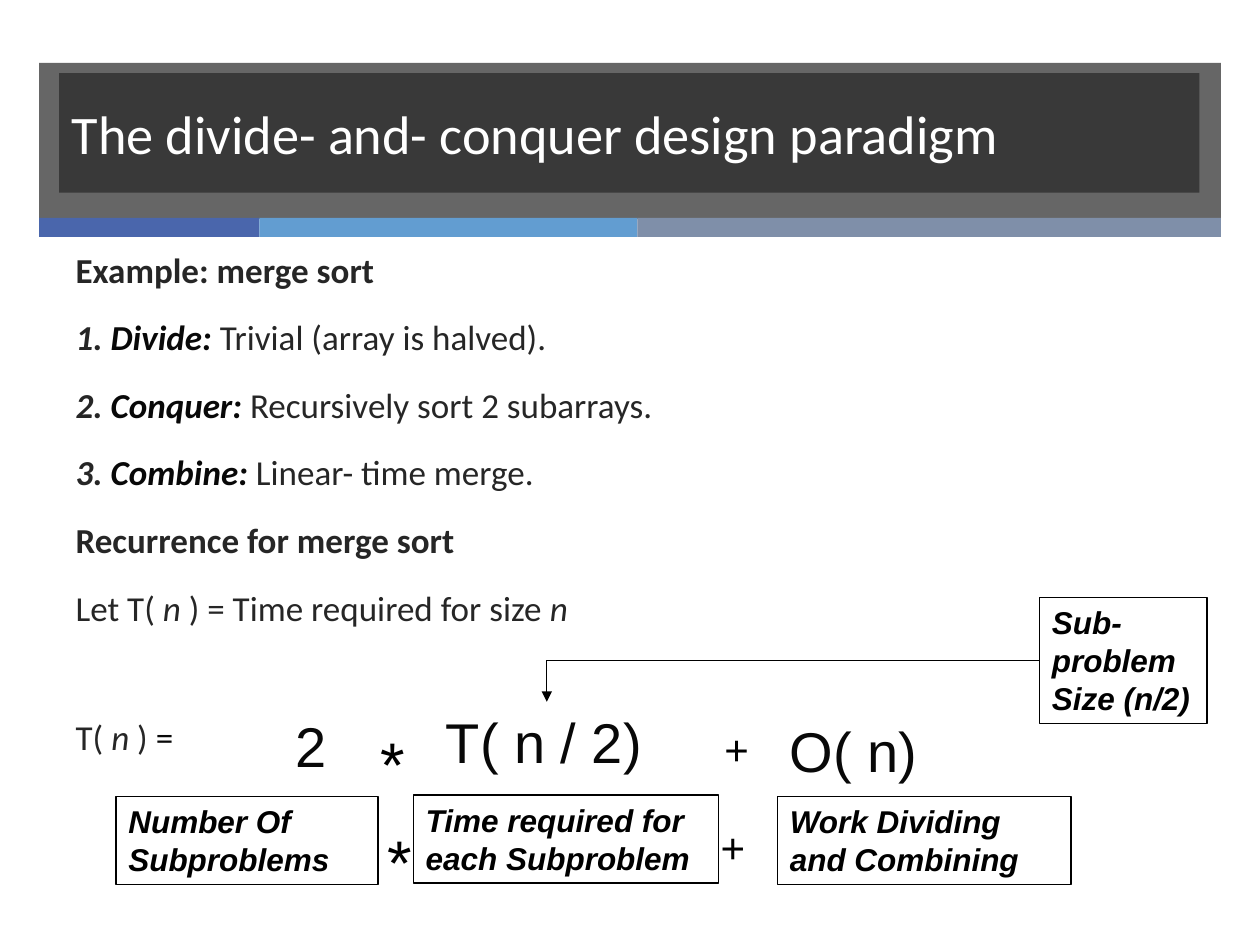
from lxml import etree
from pptx import Presentation
from pptx.dml.color import RGBColor
from pptx.enum.shapes import MSO_CONNECTOR, MSO_SHAPE
from pptx.enum.text import MSO_ANCHOR, MSO_AUTO_SIZE, PP_ALIGN
from pptx.oxml.ns import qn
from pptx.util import Inches, Pt

ELBOW, RECTANGLE = MSO_CONNECTOR.ELBOW, MSO_SHAPE.RECTANGLE
MIDDLE, TOP = MSO_ANCHOR.MIDDLE, MSO_ANCHOR.TOP
LEFT, NO_FIT = PP_ALIGN.LEFT, MSO_AUTO_SIZE.NONE

WHITE = RGBColor(0xFF, 0xFF, 0xFF)
BLACK = RGBColor(0x00, 0x00, 0x00)
DARK = RGBColor(0x26, 0x26, 0x26)
INK = RGBColor(0x08, 0x08, 0x08)
BLUE = RGBColor(0x4A, 0x66, 0xAC)
SKY = RGBColor(0x62, 0x9D, 0xD1)
SLATE = RGBColor(0x7F, 0x8F, 0xA9)

TITLE = "The divide- and- conquer design paradigm"
TITLE_FONT = {"name": "Calibri", "size": Pt(31), "bold": False}

PLAIN = {"name": "Calibri", "size": Pt(20), "bold": False, "italic": False}
HEADING = {"bold": True}
VARIABLE = {"italic": True}
NUMBER = {"bold": True, "italic": True}
STEP = {**NUMBER, "color": INK}

# Each line: space before in points, then its spans
BODY = [
    (0, [("Example: merge sort", HEADING)]),
    (14.6, [("1. ", NUMBER), ("Divide: ", STEP), ("Trivial (array is halved).", {})]),
    (14.6, [("2. ", NUMBER), ("Conquer: ", STEP), ("Recursively sort 2 subarrays.", {})]),
    (14.6, [("3. ", NUMBER), ("Combine: ", STEP), ("Linear- time merge.", {})]),
    (14.6, [("Recurrence for merge sort", HEADING)]),
    (14.6, [("Let T( ", {}), ("n", VARIABLE), (" ) = Time required for size ", {}),
            ("n", VARIABLE)]),
    (50, [("T( ", {}), ("n", VARIABLE), (" ) ", {}), ("=", {"color": INK})]),
]

BAND_LEFT, BAND_TOP, BAND_WIDTH, BAND_HEIGHT = 0.31, 0.5, 9.38, 1.24
STRIPE_TOP, STRIPE_HEIGHT = 1.73, 0.15
STRIPES = [(1.75, BLUE), (3, SKY), (4.63, SLATE)]

# Text, left, top, width, height, size, colour
FORMULA = [
    ("2", 2.25, 5.6, 0.58, 0.64, 32, INK),
    ("*", 2.92, 5.7, 0.58, 0.7, 36, BLACK),
    ("T( n / 2)", 3.44, 5.57, 1.81, 0.64, 32, INK),
    ("+", 5.65, 5.69, 0.58, 0.5, 24, BLACK),
    ("O( n)", 6.17, 5.64, 1.25, 0.64, 32, INK),
    ("*", 2.98, 6.48, 0.58, 0.7, 36, BLACK),
    ("+", 5.62, 6.47, 0.58, 0.5, 24, BLACK),
]

# Lines of text, left, top, width, height
LABELS = [
    (["Number Of Subproblems"], 0.92, 6.32, 2.08, 0.7),
    (["Time required for each Subproblem"], 3.28, 6.31, 2.42, 0.7),
    (["Work Dividing and Combining"], 6.17, 6.32, 2.33, 0.7),
    (["Sub-problem", "Size (n/2)"], 8.25, 4.74, 1.33, 1),
]
ARROW_START, ARROW_END = (8.25, 5.24), (4.34, 5.57)


def place(box, left, top, width, height):
    box.left, box.top = Inches(left), Inches(top)
    box.width, box.height = Inches(width), Inches(height)


def set_frame(box, anchor=TOP):
    frame = box.text_frame
    values = {"word_wrap": True, "auto_size": NO_FIT, "vertical_anchor": anchor,
              "margin_left": Inches(0.1), "margin_right": Inches(0.1),
              "margin_top": Inches(0.05), "margin_bottom": Inches(0.05)}
    for key, value in values.items():
        setattr(frame, key, value)
    return frame


def add_span(para, text, color, **values):
    span = para.add_run()
    span.text = text
    for key, value in values.items():
        setattr(span.font, key, value)
    span.font.color.rgb = color


def fill_box(box, color, opacity=100):
    box.fill.solid()
    box.fill.fore_color.rgb = color
    if opacity < 100:
        tint = box.fill._xPr.find(qn("a:solidFill"))[0]
        etree.SubElement(tint, qn("a:alpha"), val=str(opacity * 1000))


def add_box(page, *bounds):
    box = page.shapes.add_shape(RECTANGLE, *map(Inches, bounds))
    box.shadow.inherit = False
    return box


def add_banner(page):
    band = add_box(page, BAND_LEFT, BAND_TOP, BAND_WIDTH, BAND_HEIGHT)
    fill_box(band, DARK, 70)
    band.line.fill.background()
    left = BAND_LEFT
    for width, color in STRIPES:
        stripe = add_box(page, left, STRIPE_TOP, width, STRIPE_HEIGHT)
        fill_box(stripe, color)
        stripe.line.fill.background()
        left += width


def write_title(page):
    title = page.shapes.title
    place(title, 0.47, 0.58, 9.05, 0.95)
    fill_box(title, DARK, 70)
    para = set_frame(title, MIDDLE).paragraphs[0]
    para.alignment = LEFT
    add_span(para, TITLE, WHITE, **TITLE_FONT)
    # In front of the band
    page.shapes.element.append(title.element)


def write_body(page):
    body = page.placeholders[1]
    place(body, 0.5, 1.92, 9.17, 5.17)
    frame = set_frame(body)
    for index, (space, spans) in enumerate(BODY):
        para = frame.add_paragraph() if index else frame.paragraphs[0]
        para.space_before = Pt(space)
        properties = para._p.get_or_add_pPr()
        properties.set("marL", "0")
        properties.set("indent", "0")
        etree.SubElement(properties, qn("a:buNone"))
        for text, style in spans:
            add_span(para, text, **{"color": DARK, **PLAIN, **style})


def add_formula(page):
    for text, left, top, width, height, size, color in FORMULA:
        box = page.shapes.add_textbox(*map(Inches, (left, top, width, height)))
        para = set_frame(box).paragraphs[0]
        add_span(para, text, color, name="Arial", size=Pt(size))


def add_labels(page):
    for lines, *bounds in LABELS:
        box = add_box(page, *bounds)
        box.fill.background()
        box.line.color.rgb = BLACK
        box.line.width = Pt(0.75)
        frame = set_frame(box)
        for index, text in enumerate(lines):
            para = frame.add_paragraph() if index else frame.paragraphs[0]
            para.alignment = LEFT
            add_span(para, text, BLACK, name="Arial", size=Pt(18), bold=True, italic=True)


def add_arrow(page):
    arrow = page.shapes.add_connector(ELBOW, *map(Inches, ARROW_START + ARROW_END))
    arrow.line.color.rgb = BLACK
    arrow.line.width = Pt(0.75)
    properties = arrow.element.spPr
    # One corner only: across, then down
    properties.find(qn("a:prstGeom")).set("prst", "bentConnector2")
    etree.SubElement(properties.find(qn("a:ln")), qn("a:tailEnd"), type="triangle")
    etree.SubElement(properties, qn("a:effectLst"))


def main():
    deck = Presentation()
    deck.slide_width, deck.slide_height = Inches(10), Inches(7.5)
    page = deck.slides.add_slide(deck.slide_layouts[1])
    add_banner(page)
    write_title(page)
    write_body(page)
    add_formula(page)
    add_labels(page)
    add_arrow(page)
    deck.save("out.pptx")


if __name__ == "__main__":
    main()
